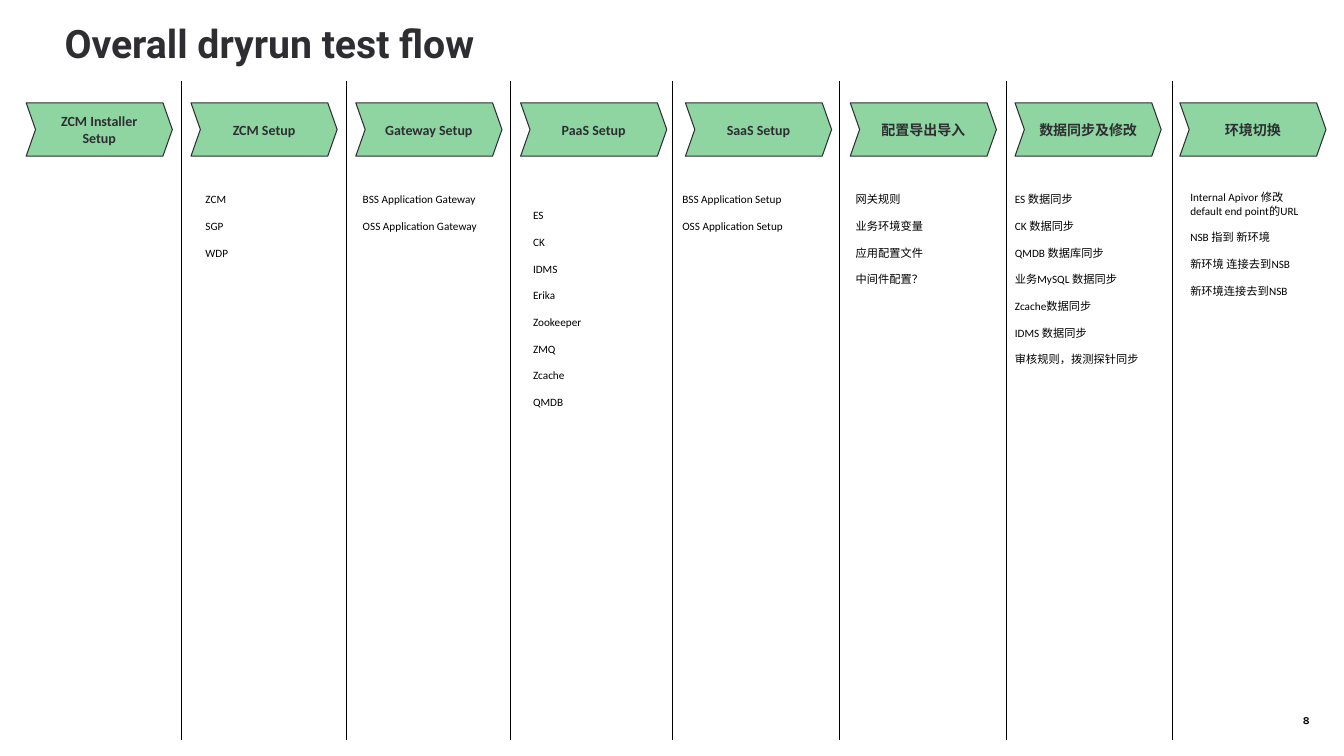
from dataclasses import dataclass

from lxml import etree
from pptx import Presentation
from pptx.dml.color import RGBColor
from pptx.enum.shapes import MSO_CONNECTOR, MSO_SHAPE
from pptx.enum.text import MSO_ANCHOR, MSO_AUTO_SIZE, PP_ALIGN
from pptx.oxml.ns import qn
from pptx.util import Inches, Length, Pt

CHEVRON = MSO_SHAPE.CHEVRON
STRAIGHT = MSO_CONNECTOR.STRAIGHT
CENTER, LEFT = PP_ALIGN.CENTER, PP_ALIGN.LEFT
TOP, MIDDLE = MSO_ANCHOR.TOP, MSO_ANCHOR.MIDDLE
NO_FIT, GROW = MSO_AUTO_SIZE.NONE, MSO_AUTO_SIZE.SHAPE_TO_FIT_TEXT
TITLE_ONLY = 5

SLIDE_WIDTH, SLIDE_HEIGHT = Inches(13.33), Inches(7.5)
GRID_COLUMNS, GRID_ROWS = 160, 90
STAGE_LEFT, STAGE_TOP, STAGE_PITCH = 3.12, 12.24, 19.62
STAGE_WIDTH, STAGE_HEIGHT = 17.4, 6.36
DIVIDER_TOP, DIVIDER_BOTTOM = 9.6, 88.08
LIST_PADDING, LINE_ROWS, ITEM_PITCH = 1.2, 1.64, 3.2
GREEN, INK, BLACK = "8ED5A1", "2E2E32", "000000"


@dataclass(frozen=True)
class TextStyle:
    font: str
    size: float
    color: str
    bold: bool = False
    align: PP_ALIGN = LEFT
    gap: float = 0


@dataclass(frozen=True)
class Steps:
    left: float
    width: float
    items: tuple[str, ...]
    top: float = 22.32
    wrap: bool = False


@dataclass(frozen=True)
class Stage:
    name: str
    divider: float | None = None
    steps: Steps | None = None


TITLE_STYLE = TextStyle("Roboto", 28, INK, bold=True)
STAGE_STYLE = TextStyle("Calibri", 10, INK, bold=True, align=CENTER)
STEP_STYLE = TextStyle("Calibri", 8, BLACK, gap=9.5)
NUMBER_STYLE = TextStyle("Karla", 7.5, BLACK, bold=True, align=CENTER)

STAGES = (
    Stage("ZCM Installer Setup"),
    Stage("ZCM Setup", 21.6, Steps(23.28, 5.16, ("ZCM", "SGP", "WDP"))),
    Stage("Gateway Setup", 41.28, Steps(
        42, 16.2, ("BSS Application Gateway", "OSS Application Gateway"))),
    Stage("PaaS Setup", 60.72, Steps(
        62.28, 8.28,
        ("ES", "CK", "IDMS", "Erika", "Zookeeper", "ZMQ", "Zcache", "QMDB"),
        top=24.24)),
    Stage("SaaS Setup", 80.04, Steps(
        80.04, 14.52, ("BSS Application Setup", "OSS Application Setup"))),
    Stage("配置导出导入", 99.96, Steps(
        100.68, 10.56,
        ("网关规则", "业务环境变量", "应用配置文件", "中间件配置？"))),
    Stage("数据同步及修改", 119.76, Steps(
        119.64, 17.28,
        ("ES 数据同步", "CK 数据同步", "QMDB 数据库同步", "业务MySQL 数据同步",
         "Zcache数据同步", "IDMS 数据同步", "审核规则，拨测探针同步"))),
    Stage("环境切换", 139.56, Steps(
        140.52, 17.4,
        ("Internal Apivor 修改 default end point的URL", "NSB 指到 新环境",
         "新环境 连接去到NSB", "新环境连接去到NSB"),
        top=22.08, wrap=True)),
)


def across(columns: float) -> Length:
    """Return the width of a number of grid columns."""
    return Length(round(SLIDE_WIDTH * columns / GRID_COLUMNS))


def down(rows: float) -> Length:
    """Return the height of a number of grid rows."""
    return Length(round(SLIDE_HEIGHT * rows / GRID_ROWS))


def area(left: float, top: float, width: float, height: float) -> tuple[Length, ...]:
    """Return a grid rectangle as slide lengths."""
    return across(left), down(top), across(width), down(height)


def color(value: str) -> RGBColor:
    """Return the colour of a hex string."""
    return RGBColor.from_string(value)


def write(frame, lines: tuple[str, ...], style: TextStyle) -> None:
    """Write one paragraph per line in the given style."""
    for index, line in enumerate(lines):
        para = frame.add_paragraph() if index else frame.paragraphs[0]
        para.alignment = style.align
        if index:
            para.space_before = Pt(style.gap)
        span = para.add_run()
        span.text = line
        span.font.name = style.font
        span.font.size = Pt(style.size)
        span.font.bold = style.bold
        span.font.color.rgb = color(style.color)


def add_title(page, text: str) -> None:
    """Place and fill the title placeholder."""
    title = page.shapes.title
    title.left, title.top, title.width, title.height = area(6.48, 2.28, 106.44, 10.08)
    frame = title.text_frame
    frame.auto_size = NO_FIT
    frame.vertical_anchor = TOP
    write(frame, (text,), TITLE_STYLE)
    frame.paragraphs[0].line_spacing = 0.9


def add_text(page, place: tuple[Length, ...], lines: tuple[str, ...],
             style: TextStyle, wrap: bool = False) -> None:
    """Add a text box that grows with its lines."""
    frame = page.shapes.add_textbox(*place).text_frame
    frame.word_wrap = wrap
    frame.auto_size = GROW
    write(frame, lines, style)


def add_chevron(page, index: int, name: str) -> None:
    """Add the chevron of a stage."""
    left = STAGE_LEFT + index * STAGE_PITCH
    chevron = page.shapes.add_shape(
        CHEVRON, *area(left, STAGE_TOP, STAGE_WIDTH, STAGE_HEIGHT))
    chevron.adjustments[0] = 0.176
    chevron.shadow.inherit = False
    chevron.fill.solid()
    chevron.fill.fore_color.rgb = color(GREEN)
    chevron.line.color.rgb = color(INK)
    chevron.line.width = Pt(0.75)
    chevron.text_frame.word_wrap = True
    chevron.text_frame.vertical_anchor = MIDDLE
    write(chevron.text_frame, (name,), STAGE_STYLE)


def add_divider(page, column: float) -> None:
    """Add a vertical line between two stages."""
    divider = page.shapes.add_connector(
        STRAIGHT, across(column), down(DIVIDER_TOP), across(column), down(DIVIDER_BOTTOM))
    divider.line.color.rgb = color(BLACK)
    divider.line.width = Pt(0.5)
    etree.SubElement(divider._element.spPr, qn("a:effectLst"))


def add_steps(page, steps: Steps) -> None:
    """Add the list of steps of a stage."""
    height = LIST_PADDING + LINE_ROWS + (len(steps.items) - 1) * ITEM_PITCH
    if steps.wrap:
        height += LINE_ROWS
    place = area(steps.left, steps.top, steps.width, height)
    add_text(page, place, steps.items, STEP_STYLE, steps.wrap)


def main() -> None:
    """Build the slide and save the deck."""
    deck = Presentation()
    deck.slide_width, deck.slide_height = SLIDE_WIDTH, SLIDE_HEIGHT
    page = deck.slides.add_slide(deck.slide_layouts[TITLE_ONLY])
    add_title(page, "Overall dryrun test flow")
    for index, stage in enumerate(STAGES):
        add_chevron(page, index, stage.name)
        if stage.divider is not None:
            add_divider(page, stage.divider)
        if stage.steps is not None:
            add_steps(page, stage.steps)
    add_text(page, area(153.36, 84.36, 4.32, 2.76), ("8",), NUMBER_STYLE)
    deck.save("out.pptx")


if __name__ == "__main__":
    main()
